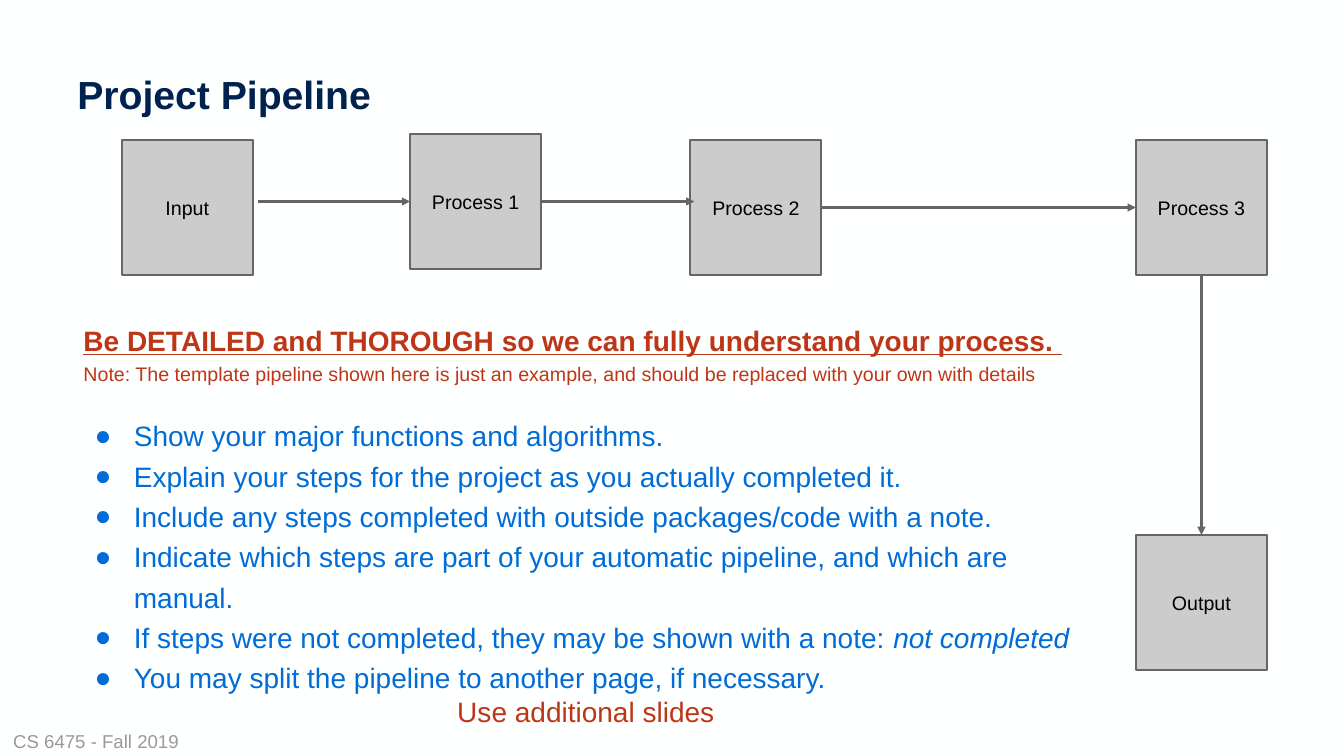
from pptx import Presentation
from pptx.dml.color import RGBColor
from pptx.enum.shapes import MSO_CONNECTOR, MSO_SHAPE
from pptx.enum.text import MSO_ANCHOR, MSO_AUTO_SIZE, PP_ALIGN
from pptx.oxml.ns import qn
from pptx.util import Pt
from lxml.etree import SubElement

NAVY = RGBColor(0x00, 0x22, 0x4E)
RED = RGBColor(0xBD, 0x36, 0x17)
BLUE = RGBColor(0x00, 0x6C, 0xD7)
BLACK = RGBColor(0, 0, 0)
DARK = RGBColor(0x66, 0x66, 0x66)
GRAY = RGBColor(0x99, 0x99, 0x99)
LIGHT = RGBColor(0xCC, 0xCC, 0xCC)
PAPER = RGBColor(0xFE, 0xFF, 0xFF)

TOP, BOTTOM, LEFT, RIGHT = 0, 2, 1, 3
SIDE, TALL = 93.6, 96.5

HEADING = "Be DETAILED and THOROUGH so we can fully understand your process. "
NOTE = ("Note: The template pipeline shown here is just an example, "
        "and should be replaced with your own with details")
STEPS = [
    ("Show your major functions and algorithms.", ""),
    ("Explain your steps for the project as you actually completed it.", ""),
    ("Include any steps completed with outside packages/code with a note.", ""),
    ("Indicate which steps are part of your automatic pipeline, "
     "and which are manual.", ""),
    ("If steps were not completed, they may be shown with a note: ",
     "not completed"),
    ("You may split the pipeline to another page, if necessary.", ""),
]


def style(run, size, color, bold=False):
    font = run.font
    font.name, font.size, font.bold = "Arial", Pt(size), bold
    font.color.rgb = color


def set_frame(frame, inset, anchor):
    frame.word_wrap = True
    frame.auto_size = MSO_AUTO_SIZE.NONE
    frame.vertical_anchor = anchor
    frame.margin_left = frame.margin_right = Pt(inset)
    frame.margin_top = frame.margin_bottom = Pt(inset)


def add_title(slide, x, y, w, h):
    title = slide.shapes.title
    title.left, title.top, title.width, title.height = map(Pt, (x, y, w, h))
    set_frame(title.text_frame, 7.2, MSO_ANCHOR.BOTTOM)
    title.text_frame.text = "Project Pipeline"
    line = title.text_frame.paragraphs[0]
    line.alignment = PP_ALIGN.LEFT
    style(line.runs[0], 28, NAVY, True)


def add_stage(slide, label, x, y):
    stage = slide.shapes.add_shape(
        MSO_SHAPE.RECTANGLE, Pt(x), Pt(y), Pt(SIDE), Pt(TALL))
    stage.shadow.inherit = False
    stage.fill.solid()
    stage.fill.fore_color.rgb = LIGHT
    stage.line.color.rgb = DARK
    stage.line.width = Pt(1.5)
    set_frame(stage.text_frame, 7.2, MSO_ANCHOR.MIDDLE)
    stage.text_frame.text = label
    line = stage.text_frame.paragraphs[0]
    line.alignment = PP_ALIGN.CENTER
    style(line.runs[0], 14, BLACK)
    return stage


def add_arrow(slide, start, end, begin=None, finish=None):
    """Draw an arrow; begin and finish are optional (shape, side) joints."""
    arrow = slide.shapes.add_connector(
        MSO_CONNECTOR.STRAIGHT, *map(Pt, start + end))
    if begin:
        arrow.begin_connect(*begin)
    if finish:
        arrow.end_connect(*finish)
    arrow.line.color.rgb = DARK
    arrow.line.width = Pt(1.5)
    SubElement(arrow.line._get_or_add_ln(), qn("a:tailEnd"), type="triangle")
    SubElement(arrow._element.spPr, qn("a:effectLst"))


def add_flow(slide, x, y):
    """Place the pipeline with the Input box at x, y."""
    far = x + 724.4
    first, mid = y - 4.3, y - 4.3 + TALL / 2
    add_stage(slide, "Input", x, y)
    one = add_stage(slide, "Process 1", x + 206, first)
    two = add_stage(slide, "Process 2", x + 406.2, y)
    three = add_stage(slide, "Process 3", far, y)
    output = add_stage(slide, "Output", far, y + 282.2)
    add_arrow(slide, (x + SIDE + 3.7, mid), (x + 206, mid),
              finish=(one, LEFT))
    add_arrow(slide, (x + 206 + SIDE, mid), (x + 409, mid),
              begin=(one, RIGHT))
    for a, out, b, into in ((two, RIGHT, three, LEFT),
                            (three, BOTTOM, output, TOP)):
        add_arrow(slide, (0, 0), (0, 0), (a, out), (b, into))


def add_bullet(line):
    props = line._p.get_or_add_pPr()
    props.set("marL", str(Pt(36)))
    props.set("indent", str(Pt(-28)))
    color = SubElement(props, qn("a:buClr"))
    SubElement(color, qn("a:srgbClr"), val=str(BLUE))
    SubElement(props, qn("a:buFont"), typeface="Arial")
    SubElement(props, qn("a:buChar"), char="●")


def add_guide(slide, x, y, w, h):
    frame = slide.shapes.add_textbox(*map(Pt, (x, y, w, h))).text_frame
    set_frame(frame, 7.2, MSO_ANCHOR.TOP)
    frame.text = "\n".join([HEADING, NOTE])
    head, note = frame.paragraphs
    style(head.runs[0], 20, RED, True)
    head.runs[0].font.underline = True
    style(note.runs[0], 14, RED)
    for text, accent in STEPS:
        line = frame.add_paragraph()
        line.text = text
        if accent:
            line.add_run().text = accent
            line.runs[1].font.italic = True
        for run in line.runs:
            style(run, 20, BLUE)
    for line in frame.paragraphs:
        line.line_spacing = 1.2
    steps = frame.paragraphs[2:]
    steps[0].space_before = Pt(19.3)
    for line in steps:
        add_bullet(line)
    last = frame.add_paragraph()
    last.text = "Use additional slides"
    last.alignment = PP_ALIGN.CENTER
    style(last.runs[0], 20, RED)


def add_footer(slide, x, y, w, h):
    frame = slide.shapes.add_textbox(*map(Pt, (x, y, w, h))).text_frame
    set_frame(frame, 9.4, MSO_ANCHOR.MIDDLE)
    frame.text = "CS 6475 - Fall 2019"
    style(frame.paragraphs[0].runs[0], 13.3, GRAY)


def main():
    deck = Presentation()
    deck.slide_width, deck.slide_height = Pt(960), Pt(540)
    slide = deck.slides.add_slide(deck.slide_layouts[5])
    slide.background.fill.solid()
    slide.background.fill.fore_color.rgb = PAPER
    add_footer(slide, 0, 519, 284.4, 21)
    add_title(slide, 48, 21.6, 864, 69.8)
    add_flow(slide, 87, 100)
    add_guide(slide, 52.5, 219, 732, 282)
    deck.save("out.pptx")


if __name__ == "__main__":
    main()
